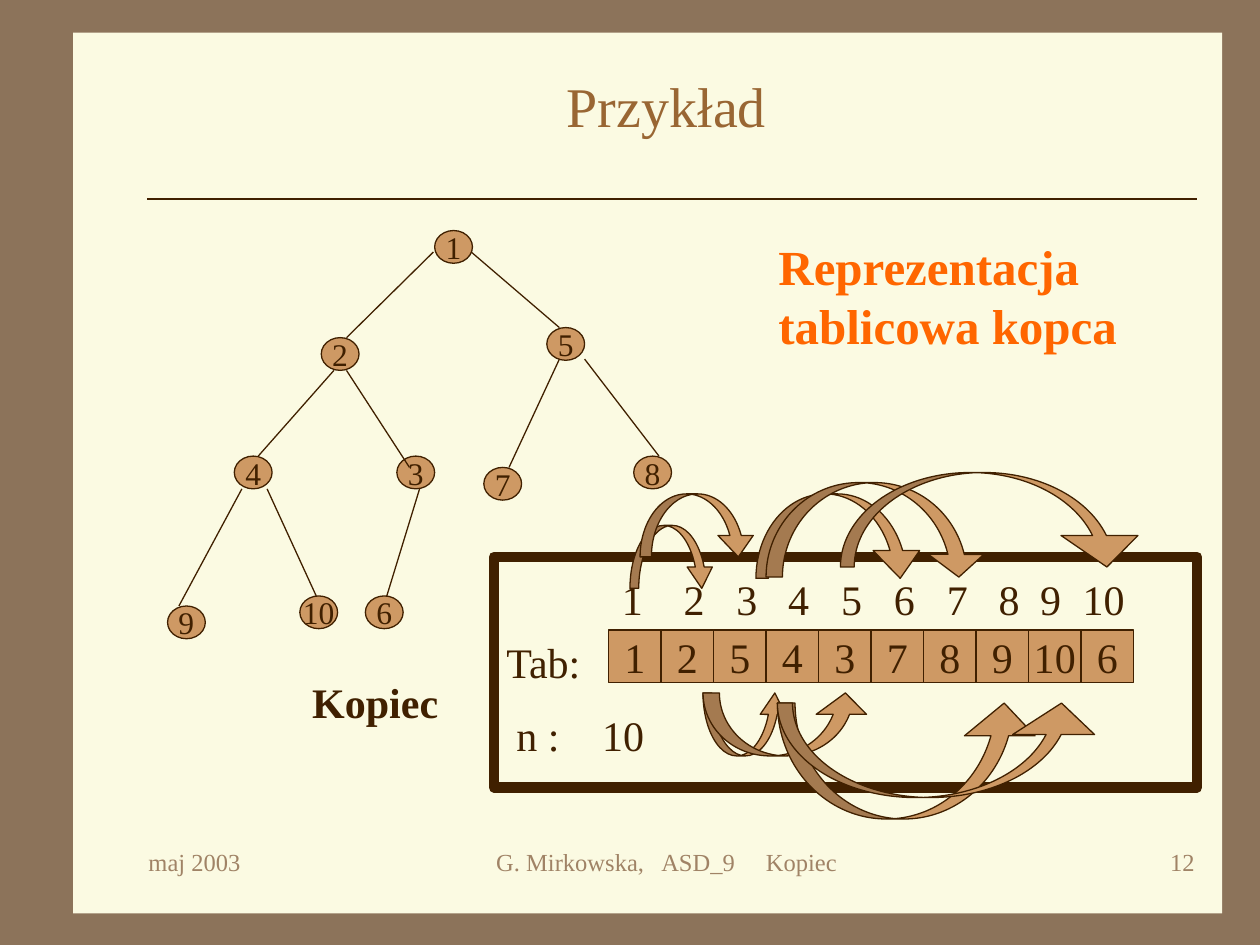
import pptx
import pptx.util
import pptx.dml.color
import pptx.enum.shapes
import pptx.enum.text
import pptx.oxml.ns
import lxml.etree

Inches = pptx.util.Inches
Pt = pptx.util.Pt
SHAPE = pptx.enum.shapes.MSO_SHAPE
ALIGN = pptx.enum.text.PP_ALIGN
ANCHOR = pptx.enum.text.MSO_ANCHOR
qn = pptx.oxml.ns.qn

DARK, TAN, CREAM, BACK = "402000", "CE9964", "FBFAE2", "8C735A"
BROWN, ORANGE, GREY = "996633", "FF6600", "A08366"

NODE_W, NODE_H = 0.3, 0.26
NODES = [
    ("1", 3.45, 1.83), ("5", 4.34, 2.6), ("2", 2.55, 2.68),
    ("4", 1.86, 3.62), ("3", 3.15, 3.62), ("7", 3.84, 3.71),
    ("8", 5.03, 3.62), ("9", 1.33, 4.81), ("10", 2.38, 4.73),
    ("6", 2.9, 4.73),
]
EDGES = [
    (2.75, 2.68, 3.44, 2), (3.74, 2, 4.44, 2.6),
    (2.65, 2.94, 2.05, 3.62), (2.75, 2.94, 3.25, 3.71),
    (4.44, 2.85, 4.04, 3.71), (4.64, 2.85, 5.23, 3.62),
    (1.92, 3.88, 1.42, 4.81), (2.12, 3.88, 2.51, 4.73),
    (3.33, 3.88, 3.07, 4.73),
]
HEAP = [1, 2, 5, 4, 3, 7, 8, 9, 10, 6]
CELL = 5 / 12
INDEX_STOPS = [0.17, 0.66, 1.08, 1.49, 1.91, 2.33, 2.75, 3.16, 3.49, 3.91]

DOWN, UP = SHAPE.CURVED_DOWN_ARROW, SHAPE.CURVED_UP_ARROW
# kind, left, top, width, height, shaft width, head width, head length
ARROWS = [
    (DOWN, 5, 4.17, 0.67, 0.5, 0.07, 0.2, 0.17),
    (DOWN, 5.08, 3.92, 0.92, 0.5, 0.09, 0.28, 0.17),
    (UP, 5.58, 5.5, 0.67, 0.5, 0.07, 0.2, 0.17),
    (UP, 5.58, 5.5, 1.33, 0.5, 0.13, 0.4, 0.17),
    (DOWN, 6, 3.92, 1.33, 0.67, 0.1, 0.37, 0.22),
    (DOWN, 6.08, 3.83, 1.75, 0.75, 0.13, 0.44, 0.18),
    (UP, 6.17, 5.58, 2.08, 0.92, 0.14, 0.56, 0.26),
    (UP, 6.17, 5.58, 2.58, 0.75, 0.12, 0.65, 0.25),
    (DOWN, 6.67, 3.75, 2.42, 0.75, 0.11, 0.61, 0.25),
]


def color(code):
    return pptx.dml.color.RGBColor.from_string(code)


def write(frame, text, size, code=DARK, bold=False, align=ALIGN.LEFT,
          stops=(), tab="l"):
    """Fill a text frame with one paragraph; stops are tab stops in inches."""
    par = frame.paragraphs[0]
    par.text = text
    par.alignment = align
    if stops:
        tabs = lxml.etree.SubElement(par._p.get_or_add_pPr(), qn("a:tabLst"))
        for stop in stops:
            lxml.etree.SubElement(tabs, qn("a:tab"),
                                  pos=str(Inches(stop)), algn=tab)
    par.font.name = "Times New Roman"
    par.font.size = Pt(size)
    par.font.bold = bold
    par.font.color.rgb = color(code)


def add_text(slide, box, text, size, **style):
    frame = slide.shapes.add_textbox(*map(Inches, box)).text_frame
    frame.word_wrap = True
    write(frame, text, size, **style)


def add_form(slide, kind, box, fill=TAN, line=DARK, width=0.75):
    form = slide.shapes.add_shape(kind, *map(Inches, box))
    form.shadow.inherit = False
    if fill:
        form.fill.solid()
        form.fill.fore_color.rgb = color(fill)
    else:
        form.fill.background()
    if line:
        form.line.color.rgb = color(line)
        form.line.width = Pt(width)
    else:
        form.line.fill.background()
    return form


def add_label(slide, kind, box, text, size):
    frame = add_form(slide, kind, box).text_frame
    frame.word_wrap = False
    frame.vertical_anchor = ANCHOR.MIDDLE
    write(frame, text, size, align=ALIGN.CENTER)


def add_line(slide, ends):
    line = slide.shapes.add_connector(
        pptx.enum.shapes.MSO_CONNECTOR.STRAIGHT, *map(Inches, ends))
    line.line.color.rgb = color(DARK)
    line.line.width = Pt(0.75)
    lxml.etree.SubElement(line._element.spPr, qn("a:effectLst"))


def add_arrow(slide, kind, left, top, wide, high, shaft, head, length):
    arrow = add_form(slide, kind, (left, top, wide, high))
    for i, size in enumerate((shaft, head, length)):
        arrow.adjustments[i] = size / min(wide, high)


def add_frame(slide):
    """Draw the cream panel, the rule and the title above them."""
    slide.background.fill.solid()
    slide.background.fill.fore_color.rgb = color(BACK)
    add_form(slide, SHAPE.RECTANGLE, (0.58, 0.26, 9.12, 6.99), CREAM, None)
    add_line(slide, (1.17, 1.58, 9.5, 1.58))
    title = slide.shapes.title
    title.left, title.top = Inches(1.08), Inches(0.5)
    title.width, title.height = Inches(8.42), Inches(0.67)
    title.text_frame.vertical_anchor = ANCHOR.MIDDLE
    write(title.text_frame, "Przykład", 32, BROWN, align=ALIGN.CENTER)
    slide.shapes._spTree.append(title._element)


def add_tree(slide):
    for text, left, top in NODES:
        add_label(slide, SHAPE.OVAL, (left, top, NODE_W, NODE_H), text, 18)
    for ends in EDGES:
        add_line(slide, ends)
    add_text(slide, (2.38, 5.32, 2, 0.5), "Kopiec", 24, bold=True)


def add_array(slide):
    add_form(slide, SHAPE.RECTANGLE, (3.92, 4.42, 5.58, 1.83), None, width=6)
    for i, value in enumerate(HEAP):
        box = (4.83 + i * CELL, 5, CELL, CELL)
        add_label(slide, SHAPE.RECTANGLE, box, str(value), 24)
    add_text(slide, (3.92, 5, 0.83, 0.5), "Tab:", 24)
    add_text(slide, (4, 5.58, 2, 0.5), "n :\t10", 24, stops=[0.68])
    index = "".join(f"\t{i + 1}" for i in range(len(HEAP)))
    add_text(slide, (4.75, 4.5, 4.67, 0.5), index, 24,
             stops=INDEX_STOPS, tab="ctr")


def add_footer(slide):
    add_text(slide, (3.08, 6.67, 4.42, 0.5), "\tG. Mirkowska,\tASD_9\tKopiec",
             14, code=GREY, stops=[0.76, 2.07, 2.9])
    add_text(slide, (7.5, 6.67, 2.08, 0.5), "12", 14, code=GREY,
             align=ALIGN.RIGHT)
    add_text(slide, (1.08, 6.67, 2.08, 0.5), "maj 2003", 14, code=GREY)


def main():
    deck = pptx.Presentation()
    deck.slide_width, deck.slide_height = Inches(10), Inches(7.5)
    slide = deck.slides.add_slide(deck.slide_layouts[5])
    add_frame(slide)
    add_tree(slide)
    add_array(slide)
    add_text(slide, (6.08, 1.83, 3, 1.04), "Reprezentacja tablicowa kopca",
             28, code=ORANGE, bold=True)
    for arrow in ARROWS:
        add_arrow(slide, *arrow)
    add_footer(slide)
    deck.save("out.pptx")


if __name__ == "__main__":
    main()
